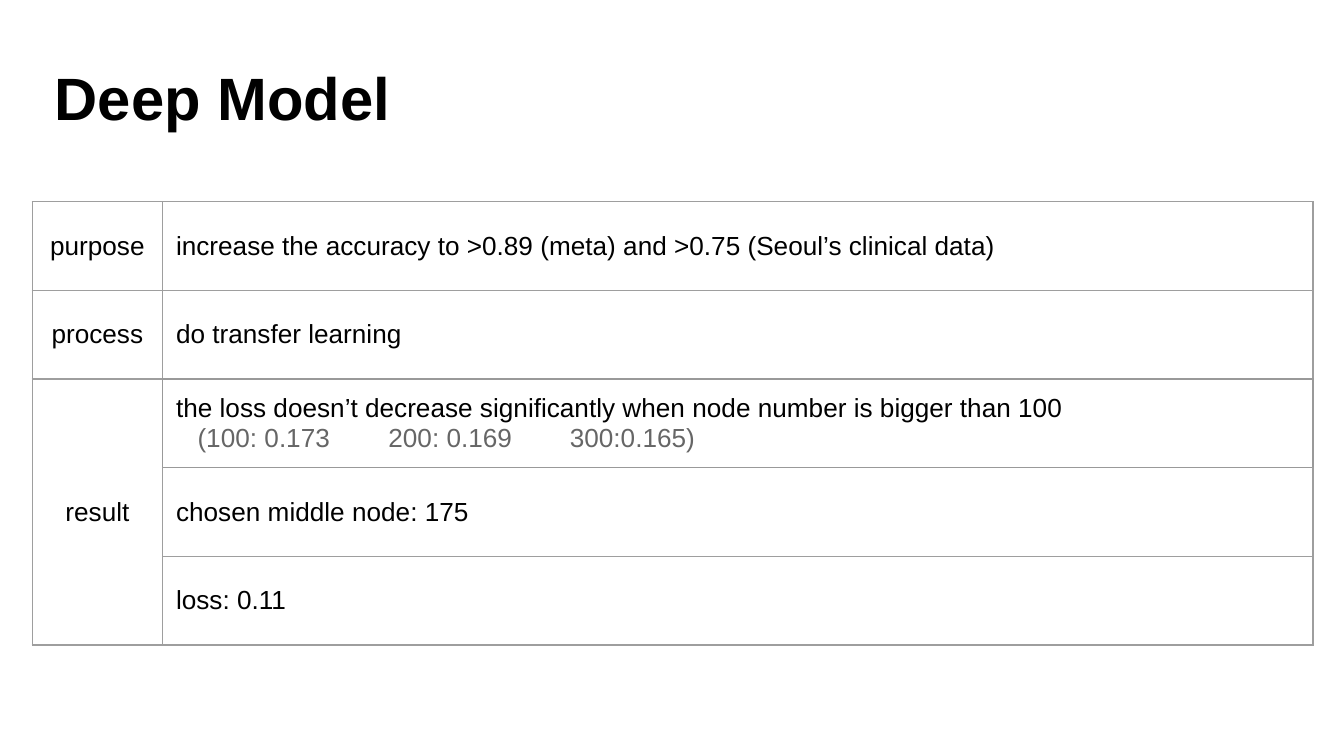
from lxml import etree
from pptx import Presentation
from pptx.dml.color import RGBColor
from pptx.enum.text import MSO_ANCHOR as Anchor, PP_ALIGN as Align
from pptx.oxml.ns import qn
from pptx.util import Inches, Pt

MARGIN = Inches(0.1)
BORDER, DARK_BORDER = "9E9E9E", "999999"


def format_runs(paragraph, size, color, bold=False):
    for run in paragraph.runs:
        run.font.name = "Arial"
        run.font.size = Pt(size)
        run.font.bold = bold
        run.font.color.rgb = RGBColor.from_string(color)


def add_border(cell, side, color):
    """Draw one side of a cell; side is L, R, T or B."""
    line = etree.SubElement(cell._tc.get_or_add_tcPr(), qn(f"a:ln{side}"), w=str(Pt(0.75)))
    fill = etree.SubElement(line, qn("a:solidFill"))
    etree.SubElement(fill, qn("a:srgbClr"), val=color)


# Widescreen, 16:9
presentation = Presentation()
presentation.slide_width = Inches(10)
presentation.slide_height = Inches(10) * 9 // 16
slide = presentation.slides.add_slide(presentation.slide_layouts[6])

# Table
rows = [
    ("purpose", "increase the accuracy to >0.89 (meta) and >0.75 (Seoul’s clinical data)"),
    ("process", "do transfer learning"),
    ("result", "the loss doesn’t decrease significantly when node number is bigger than 100"),
    ("", "chosen middle node: 175"),
    ("", "loss: 0.11"),
]
column_widths = [0.97, 8.56]
row_height = 0.66
table = slide.shapes.add_table(
    len(rows), 2, Inches(0.24), Inches(1.5),
    Inches(sum(column_widths)), Inches(row_height * len(rows)),
).table
table.first_row = False
table.horz_banding = False
for column, width in zip(table.columns, column_widths):
    column.width = Inches(width)

# Sides around the loss cell are slightly darker
dark_sides = {(1, 1): "B", (2, 0): "R", (2, 1): "LRTB", (3, 1): "T"}
for row_index, row in enumerate(rows):
    table.rows[row_index].height = Inches(row_height)
    for column_index, text in enumerate(row):
        cell = table.cell(row_index, column_index)
        cell.vertical_anchor = Anchor.MIDDLE
        cell.margin_left = cell.margin_right = MARGIN
        cell.margin_top = cell.margin_bottom = MARGIN
        for side in "LRTB":
            dark = side in dark_sides.get((row_index, column_index), "")
            add_border(cell, side, DARK_BORDER if dark else BORDER)
        cell.fill.background()
        cell.text_frame.text = text
        paragraph = cell.text_frame.paragraphs[0]
        paragraph.alignment = Align.LEFT if column_index else Align.CENTER
        format_runs(paragraph, 14, "000000")
table.cell(2, 0).merge(table.cell(4, 0))

# Loss per node number, set on tab stops
losses = table.cell(2, 1).text_frame.add_paragraph()
tab_list = etree.SubElement(losses._p.get_or_add_pPr(), qn("a:tabLst"))
for position in (0.16, 1.58, 2.93):
    etree.SubElement(tab_list, qn("a:tab"), pos=str(Inches(position)), algn="l")
losses.text = "\t(100: 0.173\t200: 0.169\t300:0.165)"
format_runs(losses, 14, "666666")

# Title
title = slide.shapes.add_textbox(Inches(0.31), Inches(0.35), Inches(9.86), Inches(0.74))
frame = title.text_frame
frame.word_wrap = True
frame.vertical_anchor = Anchor.MIDDLE
frame.margin_left = frame.margin_right = MARGIN
frame.margin_top = frame.margin_bottom = MARGIN
frame.text = "Deep Model"
format_runs(frame.paragraphs[0], 32, "000000", bold=True)

presentation.save("out.pptx")
